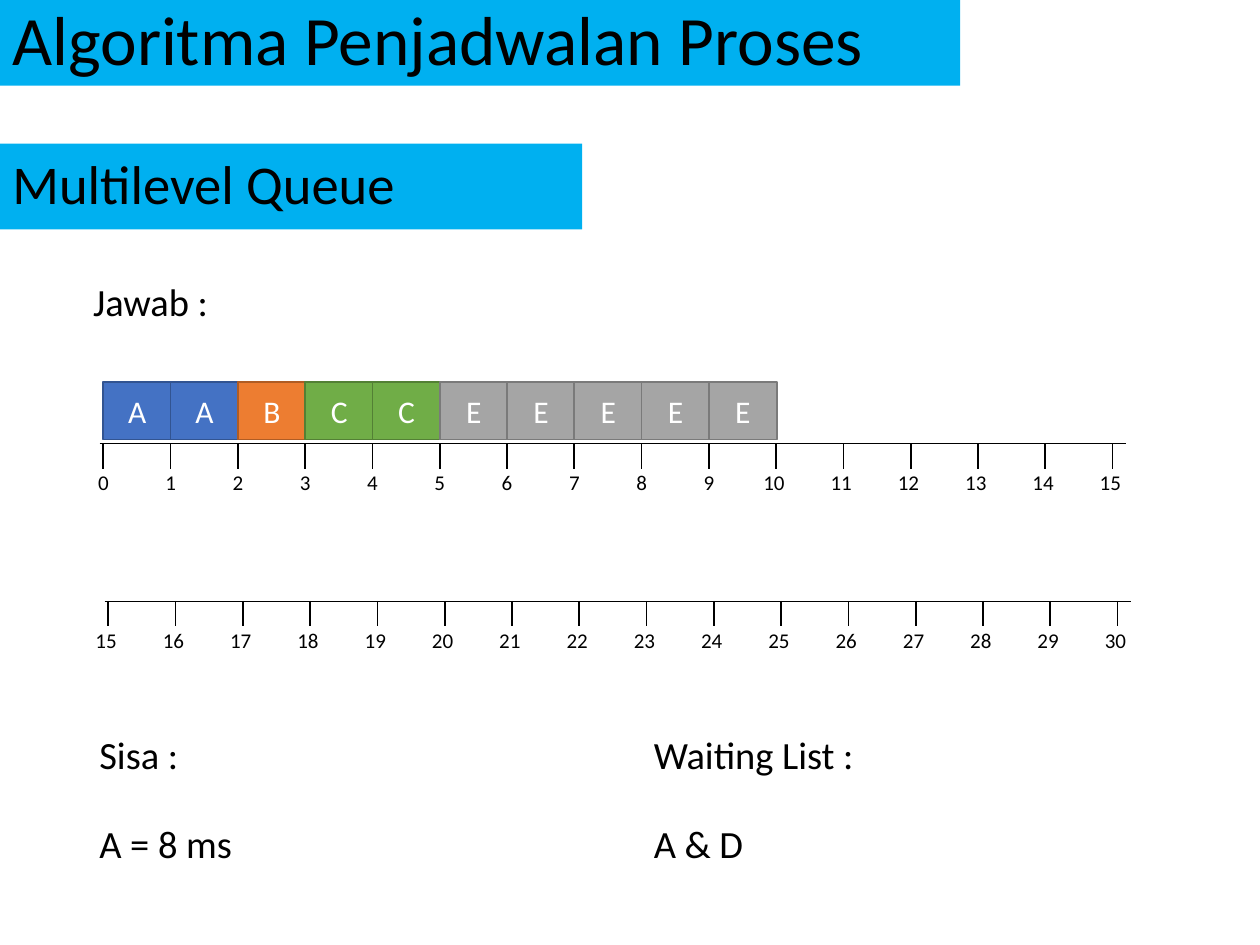
from dataclasses import dataclass

import pptx
import pptx.dml.color
import pptx.enum.shapes
import pptx.enum.text
import pptx.oxml.ns
import pptx.util
from lxml import etree
from pptx.util import Inches

ALIGN = pptx.enum.text.PP_ALIGN
ANCHOR = pptx.enum.text.MSO_ANCHOR
COLORS = {"banner": "00B0F0", "black": "000000", "white": "FFFFFF"}
PROCESS_COLORS = {
    "A": ("4472C4", "325491"),
    "B": ("ED7D31", "AF5C24"),
    "C": ("70AD47", "538035"),
    "E": ("A5A5A5", "7A7A7A"),
}
SCHEDULE = "AABCCEEEEE"
UNIT = 0.534  # inches for one time unit
UNITS_PER_ROW = 15


@dataclass
class Banner:
    text: str
    top: float
    width: float
    size: float


@dataclass
class Note:
    text: str
    left: float
    top: float
    width: float = 1.98


@dataclass
class Timeline:
    first: int
    left: float
    top: float


BANNERS = [
    Banner("Algoritma Penjadwalan Proses", 0, 7.62, 39.6),
    Banner("Multilevel Queue", 1.14, 4.62, 31.2),
]
NOTES = [
    Note("Jawab :", 0.64, 2.16),
    Note("Sisa :", 0.69, 5.75),
    Note("Waiting List :", 5.09, 5.75),
    Note("A = 8 ms", 0.69, 6.46, 2.85),
    Note("A & D", 5.09, 6.46),
]
TIMELINES = [Timeline(0, 0.82, 3.52), Timeline(15, 0.86, 4.77)]


def rgb(value: str) -> pptx.dml.color.RGBColor:
    return pptx.dml.color.RGBColor.from_string(value)


def write(shape, text: str, *, size: float, color: str = COLORS["black"],
          align=ALIGN.LEFT, anchor=ANCHOR.TOP, spacing: float = 1.0) -> None:
    frame = shape.text_frame
    frame.word_wrap = True
    frame.vertical_anchor = anchor
    paragraph = frame.paragraphs[0]
    paragraph.alignment = align
    paragraph.line_spacing = spacing
    run = paragraph.add_run()
    run.text = text
    run.font.name = "Calibri"
    run.font.size = pptx.util.Pt(size)
    run.font.color.rgb = rgb(color)


def add_box(slide, left: float, top: float, width: float, height: float,
            fill: str, outline: str = ""):
    box = slide.shapes.add_shape(
        pptx.enum.shapes.MSO_SHAPE.RECTANGLE,
        Inches(left), Inches(top), Inches(width), Inches(height))
    box.shadow.inherit = False
    box.fill.solid()
    box.fill.fore_color.rgb = rgb(fill)
    if outline:
        box.line.color.rgb = rgb(outline)
        box.line.width = pptx.util.Pt(1)
    else:
        box.line.fill.background()
    return box


def add_text(slide, text: str, left: float, top: float, width: float,
             height: float, **text_format) -> None:
    box = slide.shapes.add_textbox(
        Inches(left), Inches(top), Inches(width), Inches(height))
    write(box, text, **text_format)


def add_line(slide, x1: float, y1: float, x2: float, y2: float,
             weight: float) -> None:
    line = slide.shapes.add_connector(
        pptx.enum.shapes.MSO_CONNECTOR.STRAIGHT,
        Inches(x1), Inches(y1), Inches(x2), Inches(y2))
    line.line.color.rgb = rgb(COLORS["black"])
    line.line.width = pptx.util.Pt(weight)
    etree.SubElement(line._element.spPr, pptx.oxml.ns.qn("a:effectLst"))


def draw_banner(slide, banner: Banner) -> None:
    box = add_box(slide, 0, banner.top, banner.width, 0.68, COLORS["banner"])
    write(box, banner.text, size=banner.size, anchor=ANCHOR.MIDDLE, spacing=0.9)


def draw_timeline(slide, timeline: Timeline) -> None:
    axis_left = timeline.left - 0.03
    add_line(slide, axis_left, timeline.top, axis_left + 8.15, timeline.top, 0.5)
    for step in range(UNITS_PER_ROW + 1):
        x = timeline.left + step * UNIT
        label = str(timeline.first + step)
        add_line(slide, x, timeline.top, x, timeline.top + 0.2, 1)
        indent, width = (0.14, 0.33) if len(label) == 1 else (0.2, 0.4)
        add_text(slide, label, x - indent, timeline.top + 0.16, width, 0.3, size=12)


def draw_schedule(slide, processes: str) -> None:
    for step, process in enumerate(processes):
        fill, outline = PROCESS_COLORS[process]
        block = add_box(slide, TIMELINES[0].left + step * UNIT, 3.03,
                        0.54, 0.46, fill, outline)
        write(block, process, size=18, color=COLORS["white"],
              align=ALIGN.CENTER, anchor=ANCHOR.MIDDLE)


def main() -> None:
    deck = pptx.Presentation()
    deck.slide_width = Inches(10)
    deck.slide_height = Inches(7.5)
    slide = deck.slides.add_slide(deck.slide_layouts[6])
    for banner in BANNERS:
        draw_banner(slide, banner)
    for timeline in TIMELINES:
        draw_timeline(slide, timeline)
    draw_schedule(slide, SCHEDULE)
    for note in NOTES:
        add_text(slide, note.text, note.left, note.top, note.width, 0.47,
                 size=22, align=ALIGN.JUSTIFY)
    deck.save("out.pptx")


if __name__ == "__main__":
    main()
